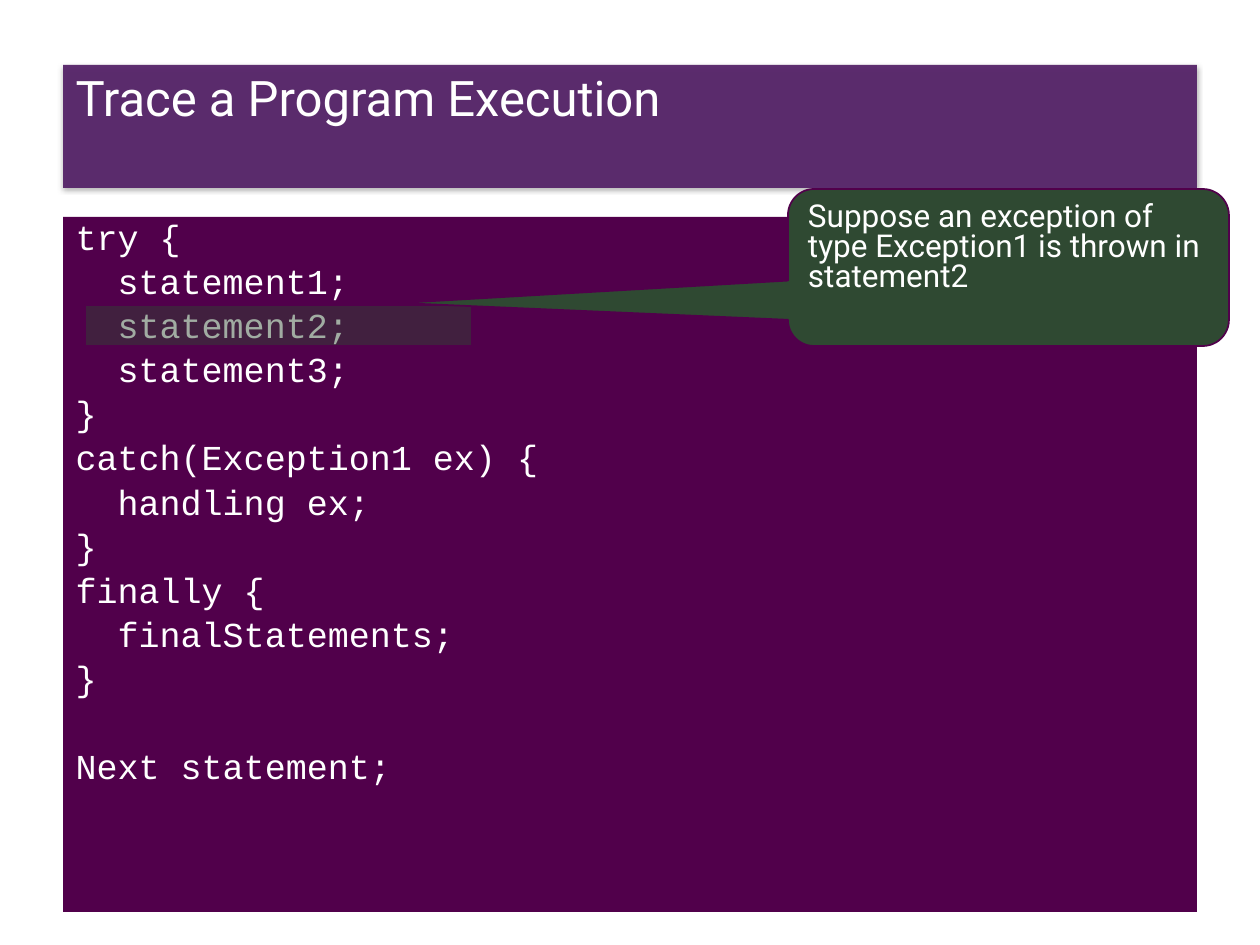
import dataclasses

import lxml.etree
import pptx
import pptx.dml.color
import pptx.enum.shapes
import pptx.enum.text
import pptx.oxml.ns
import pptx.util

EMU_PER_PX = 914400 / 126


@dataclasses.dataclass(frozen=True)
class Theme:
    banner: str = "562469"
    panel: str = "51004B"
    accent: str = "2F4932"
    text: str = "FFFFFF"
    shadow: str = "000000"
    text_font: str = "Roboto"
    code_font: str = "Courier New"
    title_size: int = 28
    code_size: int = 20
    note_size: int = 18


def px(length):
    return pptx.util.Emu(round(length * EMU_PER_PX))


def color(value):
    return pptx.dml.color.RGBColor.from_string(value)


def add_element(parent, tag, **attributes):
    element = lxml.etree.SubElement(parent, pptx.oxml.ns.qn(tag))
    for name, value in attributes.items():
        element.set(name, str(value))
    return element


class SlideBuilder:
    def __init__(self, slide, theme):
        self.slide = slide
        self.theme = theme

    def place(self, shape, left, top, width, height):
        shape.left, shape.top = px(left), px(top)
        shape.width, shape.height = px(width), px(height)

    def fill(self, shape, value, opacity=100):
        shape.fill.solid()
        shape.fill.fore_color.rgb = color(value)
        if opacity < 100:
            solid_fill = shape._element.spPr.find(pptx.oxml.ns.qn("a:solidFill"))
            add_element(solid_fill[0], "a:alpha", val=opacity * 1000)

    def add_text(self, shape, lines, font, size, spacing, before=0, hanging=0):
        frame = shape.text_frame
        frame.word_wrap = True
        frame.auto_size = pptx.enum.text.MSO_AUTO_SIZE.NONE
        frame.vertical_anchor = pptx.enum.text.MSO_ANCHOR.TOP
        for index, line in enumerate(lines):
            paragraph = frame.add_paragraph() if index else frame.paragraphs[0]
            properties = paragraph._p.get_or_add_pPr()
            properties.set("marL", str(px(hanging)))
            properties.set("indent", str(-px(hanging)))
            add_element(properties, "a:buNone")
            paragraph.alignment = pptx.enum.text.PP_ALIGN.LEFT
            paragraph.line_spacing = spacing
            paragraph.space_before = pptx.util.Pt(before if index else 0)
            paragraph.font.size = pptx.util.Pt(size)
            paragraph.font.name = font
            if line:
                run = paragraph.add_run()
                run.text = line
                run.font.size = pptx.util.Pt(size)
                run.font.name = font
                run.font.color.rgb = color(self.theme.text)

    def title(self, text, *box):
        shape = self.slide.shapes.title
        self.place(shape, *box)
        self.fill(shape, self.theme.banner, 95)
        effects = add_element(shape._element.spPr, "a:effectLst")
        shadow = add_element(effects, "a:outerShdw", blurRad=38100, dist=12700,
                             dir=5400000, rotWithShape=0)
        shadow_color = add_element(shadow, "a:srgbClr", val=self.theme.shadow)
        add_element(shadow_color, "a:alpha", val=30000)
        shape.text_frame.margin_top = 0
        self.add_text(shape, [text], self.theme.text_font, self.theme.title_size, 1.05)

    def code(self, text, *box):
        shape = self.slide.placeholders[1]
        self.place(shape, *box)
        self.fill(shape, self.theme.panel)
        self.add_text(shape, text.split("\n"), self.theme.code_font,
                      self.theme.code_size, 0.8, before=6, hanging=32)

    def accent_shape(self, kind, box, opacity=100):
        shape = self.slide.shapes.add_shape(kind, *map(px, box))
        shape.shadow.inherit = False
        self.fill(shape, self.theme.accent, opacity)
        shape.line.color.rgb = color(self.theme.panel)
        shape.line.width = pptx.util.Pt(1)
        return shape

    def highlight(self, *box):
        self.accent_shape(pptx.enum.shapes.MSO_SHAPE.RECTANGLE, box, opacity=45)

    def callout(self, text, pointer, *box):
        kind = pptx.enum.shapes.MSO_SHAPE.ROUNDED_RECTANGULAR_CALLOUT
        shape = self.accent_shape(kind, box)
        left, top, width, height = box
        shape.adjustments[0] = (pointer[0] - left) / width - 0.5
        shape.adjustments[1] = (pointer[1] - top) / height - 0.5
        self.add_text(shape, [text], self.theme.text_font, self.theme.note_size, 0.8)


CODE = """try {
  statement1;
  statement2;
  statement3;
}
catch(Exception1 ex) {
  handling ex;
}
finally {
  finalStatements;
}

Next statement;"""


def main():
    presentation = pptx.Presentation()
    presentation.slide_width, presentation.slide_height = px(1260), px(945)
    slide = presentation.slides.add_slide(presentation.slide_layouts[1])
    builder = SlideBuilder(slide, Theme())
    builder.title("Trace a Program Execution", 63, 65, 1134, 123)
    builder.code(CODE, 63, 217, 1134, 695)
    builder.highlight(85, 305, 387, 41)
    builder.callout("Suppose an exception of type Exception1 is thrown in statement2",
                    (399, 303), 788, 189, 441, 157)
    presentation.save("out.pptx")


if __name__ == "__main__":
    main()
